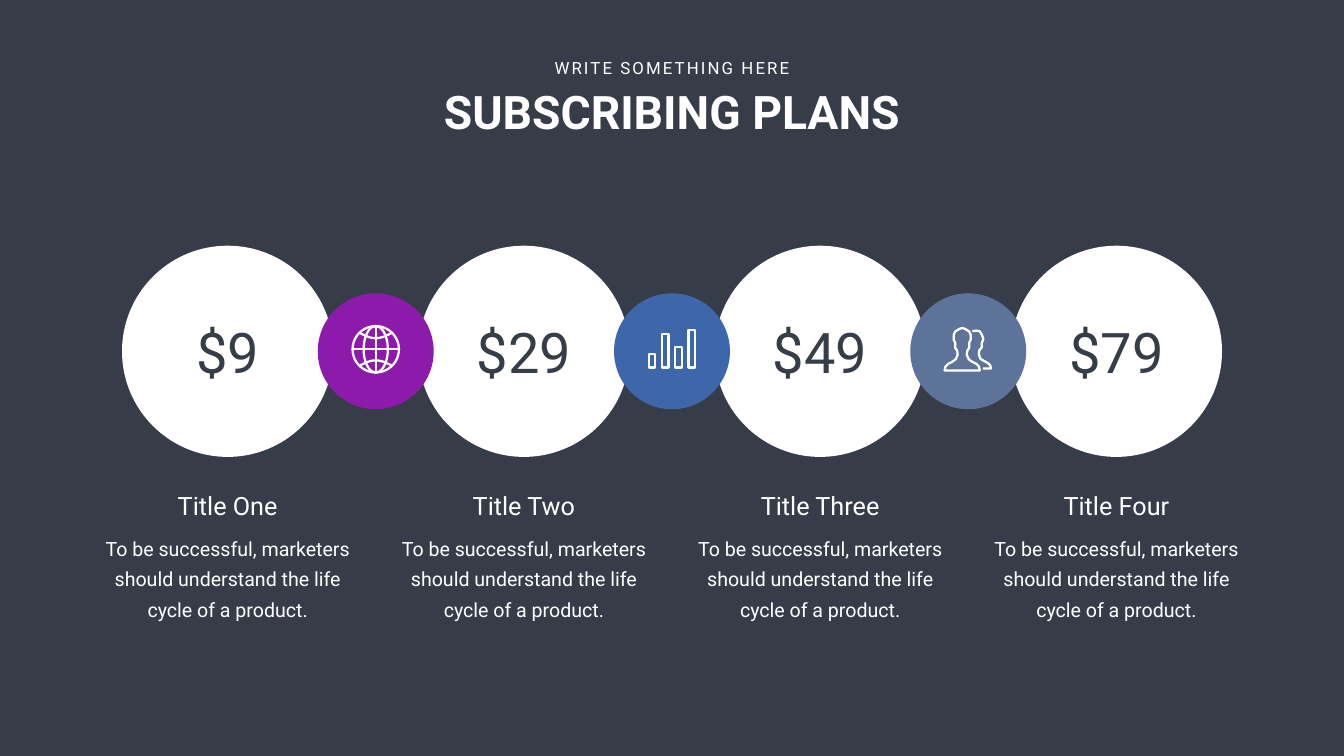
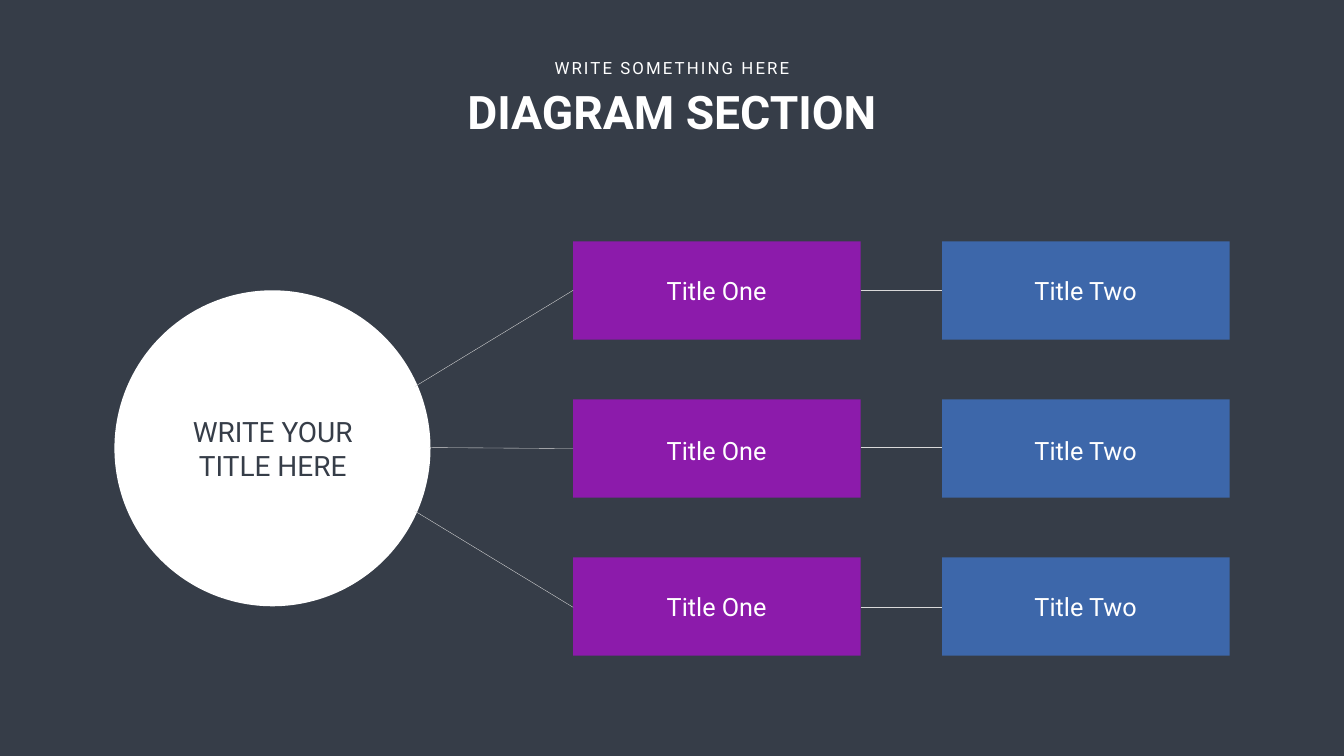
import math

from lxml import etree
from pptx import Presentation
from pptx.dml.color import RGBColor
from pptx.enum.shapes import MSO_CONNECTOR, MSO_SHAPE
from pptx.enum.text import MSO_ANCHOR, MSO_AUTO_SIZE, PP_ALIGN
from pptx.oxml.ns import qn
from pptx.util import Inches, Pt

OVAL, RECT = MSO_SHAPE.OVAL, MSO_SHAPE.RECTANGLE
STRAIGHT = MSO_CONNECTOR.STRAIGHT
TOP, CENTER = MSO_ANCHOR.TOP, PP_ALIGN.CENTER
GROW = MSO_AUTO_SIZE.SHAPE_TO_FIT_TEXT

FONT = "Roboto"
COLORS = {
    "dark": "363D48",
    "white": "FFFFFF",
    "purple": "8C1BAB",
    "blue": "3D67AA",
    "slate": "5D739A",
    "rule": "D9D9D9",
}
WIDTH, HEIGHT = 26.66, 15
MIDDLE = WIDTH / 2
ICON_STROKE = 3.2


def write(slide, text, box, holder=None, size=36, color="white", bold=False,
          wrap=True, leading=None, tracking=None):
    """Put one centred paragraph in a placeholder or in a new text box."""
    left, top, width, height = map(Inches, box)
    holder = holder or slide.shapes.add_textbox(left, top, width, height)
    holder.left, holder.top, holder.width, holder.height = left, top, width, height
    frame = holder.text_frame
    frame.word_wrap = wrap
    frame.auto_size = GROW
    frame.vertical_anchor = TOP
    paragraph = frame.paragraphs[0]
    paragraph.alignment = CENTER
    if leading:
        paragraph.line_spacing = Pt(leading)
    run = paragraph.add_run()
    run.text = text
    run.font.name = FONT
    run.font.size = Pt(size)
    run.font.bold = bold
    run.font.color.rgb = RGBColor.from_string(COLORS[color])
    if tracking:
        run.font._element.set("spc", str(tracking * 100))


def draw(slide, kind, box, fill):
    """Add a preset shape with a plain fill."""
    shape = slide.shapes.add_shape(kind, *map(Inches, box))
    shape.shadow.inherit = False
    shape.fill.solid()
    shape.fill.fore_color.rgb = RGBColor.from_string(COLORS[fill])
    shape.line.fill.background()


prs = Presentation()
prs.slide_width, prs.slide_height = Inches(WIDTH), Inches(HEIGHT)

# Shared background and heading
background = prs.slide_master.background.fill
background.solid()
background.fore_color.rgb = RGBColor.from_string(COLORS["dark"])
title_only = prs.slide_layouts[5]
slides = []
for heading in ("SUBSCRIBING PLANS", "DIAGRAM SECTION"):
    slide = prs.slides.add_slide(title_only)
    write(slide, heading, (MIDDLE - 5.72, 1.61, 11.44, 1.21),
          holder=slide.shapes.title, size=66, bold=True)
    write(slide, "WRITE SOMETHING HERE", (MIDDLE - 2.5, 1.1, 5, 0.5),
          size=24, wrap=False, tracking=3)
    slides.append(slide)
pricing, diagram = slides

# Plans: four columns around the middle of the slide
PITCH = 17.63 / 3
AXIS = 6.97
PLAN_SIZE, BADGE_SIZE = 4.19, 2.3
SUMMARY = ("To be successful, marketers should understand "
           "the life cycle of a product.")
plans = [("Title One", "$9", 1.46), ("Title Two", "$29", 2.1),
         ("Title Three", "$49", 2.1), ("Title Four", "$79", 2.1)]
plan_centers = [MIDDLE + (i - 1.5) * PITCH for i in range(4)]
badge_centers = [MIDDLE + (i - 1) * PITCH for i in range(3)]

for (name, price, price_width), x in zip(plans, plan_centers):
    write(pricing, SUMMARY, (x - 2.74, 10.48, 5.48, 1.86), size=28, leading=43)
    write(pricing, name, (x - PLAN_SIZE / 2, 9.67, PLAN_SIZE, 0.71))
    draw(pricing, OVAL, (x - PLAN_SIZE / 2, AXIS - PLAN_SIZE / 2,
                         PLAN_SIZE, PLAN_SIZE), "white")
for x, color in zip(badge_centers, ("purple", "blue", "slate")):
    draw(pricing, OVAL, (x - BADGE_SIZE / 2, AXIS - BADGE_SIZE / 2,
                         BADGE_SIZE, BADGE_SIZE), color)
for (name, price, price_width), x in zip(plans, plan_centers):
    write(pricing, price, (x - price_width / 2, 6.25, price_width, 1.45),
          size=80, color="dark", wrap=False)

# Globe icon: rim, meridians, axes and two parallels, around its centre
GLOBE_Y, RADIUS = 6.93 - AXIS, 0.46
angles = [math.tau * i / 60 for i in range(61)]
steps = [i / 8 for i in range(-8, 9)]
globe = [[(half_width * math.cos(a), GLOBE_Y + RADIUS * math.sin(a)) for a in angles]
         for half_width in (RADIUS, 0.24)]
globe += [[(-RADIUS, GLOBE_Y), (RADIUS, GLOBE_Y)],
          [(0, GLOBE_Y - RADIUS), (0, GLOBE_Y + RADIUS)]]
globe += [[(0.31 * s, GLOBE_Y + side * (0.22 + 0.1 * (1 - math.cos(s * math.pi / 2))))
           for s in steps] for side in (-1, 1)]

# Bar icon: four outlined bars on one baseline
BASELINE, BAR_WIDTH = 7.29 - AXIS, 0.13
bars = []
for i, bar_height in enumerate((0.27, 0.66, 0.4, 0.75)):
    left, top = -0.46 + i * 0.263, BASELINE - bar_height
    right = left + BAR_WIDTH
    bars.append([(left, BASELINE), (left, top), (right, top),
                 (right, BASELINE), (left, BASELINE)])

# People icon: mirrored front figure and the edge of a second one
FIGURE_X = -0.12
front_half = [(-0.35, 7.35), (-0.33, 7.27), (-0.28, 7.22), (-0.2, 7.18),
              (-0.13, 7.13), (-0.09, 7.04), (-0.1, 6.96), (-0.14, 6.9),
              (-0.14, 6.8), (-0.17, 6.74), (-0.17, 6.65), (-0.14, 6.58),
              (-0.08, 6.54), (-0.04, 6.52), (0, 6.51)]
front = front_half + [(-dx, y) for dx, y in reversed(front_half[:-1])]
front.append(front[0])
back = [(0.2, 6.57), (0.28, 6.56), (0.34, 6.57), (0.38, 6.62), (0.42, 6.72),
        (0.39, 6.81), (0.39, 6.89), (0.34, 6.95), (0.33, 7.03), (0.36, 7.12),
        (0.43, 7.16), (0.52, 7.21), (0.56, 7.26), (0.57, 7.31), (0.41, 7.31)]
people = [[(FIGURE_X + dx, y - AXIS) for dx, y in figure]
          for figure in (front, back)]

# Each icon is one outline of several strokes
for center, strokes in zip(badge_centers, (globe, bars, people)):
    strokes = [[(Inches(center + dx), Inches(AXIS + dy)) for dx, dy in stroke]
               for stroke in strokes]
    builder = pricing.shapes.build_freeform(*strokes[0][0])
    builder.add_line_segments(strokes[0][1:], close=False)
    for stroke in strokes[1:]:
        builder.move_to(*stroke[0])
        builder.add_line_segments(stroke[1:], close=False)
    icon = builder.convert_to_shape()
    icon.shadow.inherit = False
    icon.fill.background()
    icon.line.color.rgb = RGBColor.from_string(COLORS["white"])
    icon.line.width = Pt(ICON_STROKE)

# Diagram: hub circle and a grid of three rows by two columns
draw(diagram, OVAL, (2.27, 5.76, 6.27, 6.27), "white")
write(diagram, "WRITE YOUR TITLE HERE", (3.21, 8.18, 4.4, 1.45),
      size=40, color="dark")
CARD_WIDTH, CARD_HEIGHT = 5.7, 1.95
FIRST_ROW, ROW_PITCH = 4.79, 6.27 / 2
columns = [(11.37, "purple", "Title One"), (18.69, "blue", "Title Two")]
label_tops = (5.41, 8.58, 11.68)
link_heights = (5.76, 8.88, 12.05)
card_left, next_left = columns[0][0], columns[1][0]

links = []
for row, (label_top, link_y) in enumerate(zip(label_tops, link_heights)):
    for left, color, label in columns:
        draw(diagram, RECT, (left, FIRST_ROW + row * ROW_PITCH,
                             CARD_WIDTH, CARD_HEIGHT), color)
        write(diagram, label, (left + 0.75, label_top, 4.19, 0.71))
    links.append((card_left + CARD_WIDTH, link_y, next_left, link_y))

# Links between the columns, then from the hub to the first column
links += [(card_left, 5.76, 8.23, 7.67),
          (card_left, 12.05, 8.23, 10.14),
          (8.51, 8.88, card_left, 8.9)]
for ends in links:
    link = diagram.shapes.add_connector(STRAIGHT, *map(Inches, ends))
    link.line.color.rgb = RGBColor.from_string(COLORS["rule"])
    link.line.width = Pt(0.5)
    etree.SubElement(link._element.spPr, qn("a:effectLst"))

prs.save("out.pptx")
